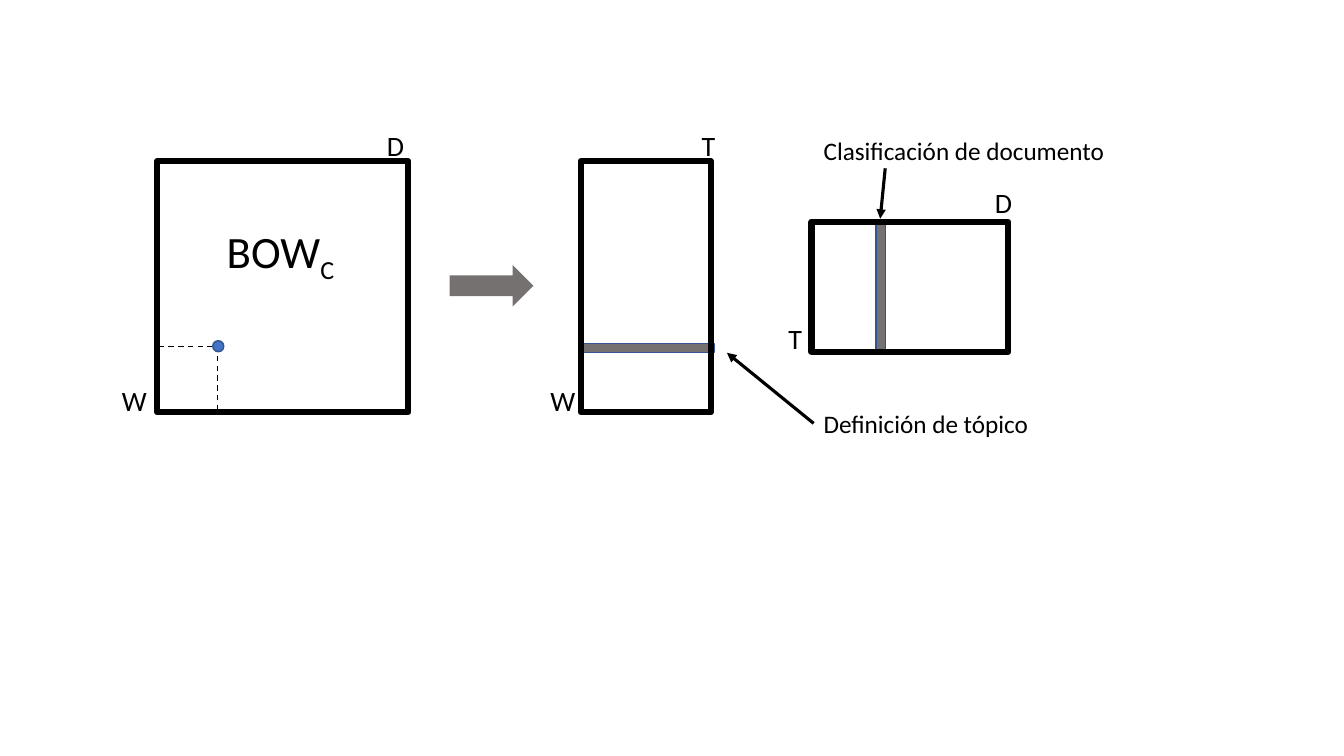
from pptx import Presentation
from pptx.dml.color import RGBColor
from pptx.enum.dml import MSO_LINE
from pptx.enum.shapes import MSO_CONNECTOR, MSO_SHAPE as Preset
from pptx.enum.text import MSO_AUTO_SIZE
from pptx.oxml.ns import qn
from pptx.util import Inches, Pt
from lxml.etree import SubElement

BLACK = RGBColor(0x00, 0x00, 0x00)
GRAY = RGBColor(0x76, 0x71, 0x71)
BLUE = RGBColor(0x44, 0x72, 0xC4)
DARK_BLUE = RGBColor(0x32, 0x54, 0x91)

MATRIX_TOP = 1.6
LONG_SIDE, SHORT_SIDE = 2.49, 1.29
STRIP = 0.09

AXIS_LABELS = [
    ("W", 1.11, 3.76, 0.45), ("D", 3.74, 1.23, 0.37),
    ("W", 5.36, 3.76, 0.45), ("T", 6.86, 1.23, 0.35),
    ("T", 7.72, 3.14, 0.35), ("D", 9.77, 1.79, 0.37),
]


def add_figure(slide, preset, box, fill=None, line=None, width=1, dash=None):
    figure = slide.shapes.add_shape(preset, *map(Inches, box))
    figure.shadow.inherit = False
    if fill is None:
        figure.fill.background()
    else:
        figure.fill.solid()
        figure.fill.fore_color.rgb = fill
    if line is None:
        figure.line.fill.background()
    else:
        figure.line.color.rgb = line
        figure.line.width = Pt(width)
        figure.line.dash_style = dash


def add_matrix(slide, box):
    add_figure(slide, Preset.RECTANGLE, box, line=BLACK, width=4.5)


def add_strip(slide, box):
    """Highlight one row or column of a matrix."""
    add_figure(slide, Preset.RECTANGLE, box, GRAY, DARK_BLUE)


def add_label(slide, text, box, size, subscript=""):
    frame = slide.shapes.add_textbox(*map(Inches, box)).text_frame
    frame.word_wrap = False
    frame.auto_size = MSO_AUTO_SIZE.SHAPE_TO_FIT_TEXT
    paragraph = frame.paragraphs[0]
    for part in filter(None, (text, subscript)):
        run = paragraph.add_run()
        run.text = part
        for name, value in {"name": "Calibri", "size": Pt(size)}.items():
            setattr(run.font, name, value)
        run.font.color.rgb = BLACK
    if subscript:
        run._r.get_or_add_rPr().set("baseline", "-25000")


def add_pointer(slide, tip, tail):
    """Draw an arrow whose head is at tip."""
    pointer = slide.shapes.add_connector(
        MSO_CONNECTOR.STRAIGHT, *map(Inches, tip + tail))
    pointer.line.color.rgb = BLACK
    pointer.line.width = Pt(2.25)
    SubElement(pointer.line._get_or_add_ln(), qn("a:headEnd"), type="triangle")
    SubElement(pointer._element.spPr, qn("a:effectLst"))


def main():
    prs = Presentation()
    prs.slide_width, prs.slide_height = Inches(13.33), Inches(7.5)
    slide = prs.slides.add_slide(prs.slide_layouts[6])

    add_figure(slide, Preset.RECTANGLE, (1.56, 3.44, 0.6, 0.65),
               line=BLACK, dash=MSO_LINE.DASH)
    add_strip(slide, (8.69, 2.2, STRIP, SHORT_SIDE))
    add_strip(slide, (5.79, 3.41, SHORT_SIDE, STRIP))

    add_matrix(slide, (1.56, MATRIX_TOP, LONG_SIDE, LONG_SIDE))
    add_figure(slide, Preset.RIGHT_ARROW, (4.46, 2.63, 0.83, 0.41), GRAY)
    add_matrix(slide, (5.76, MATRIX_TOP, SHORT_SIDE, LONG_SIDE))
    add_matrix(slide, (8.05, 2.2, 1.95, SHORT_SIDE))

    for letter, left, top, width in AXIS_LABELS:
        add_label(slide, letter, (left, top, width, 0.44), 20)
    add_figure(slide, Preset.OVAL, (2.11, 3.38, 0.11, 0.11), BLUE, DARK_BLUE)
    add_label(slide, "BOW", (2.15, 2.17, 1.29, 0.64), 32, subscript="C")

    add_label(slide, "Definición de tópico", (8.07, 4, 2.26, 0.4), 18)
    add_label(slide, "Clasificación de documento", (8.07, 1.29, 3.12, 0.4), 18)
    add_pointer(slide, (8.73, 2.17), (8.78, 1.67))
    add_pointer(slide, (7.21, 3.5), (8.07, 4.2))

    prs.save("out.pptx")


if __name__ == "__main__":
    main()
